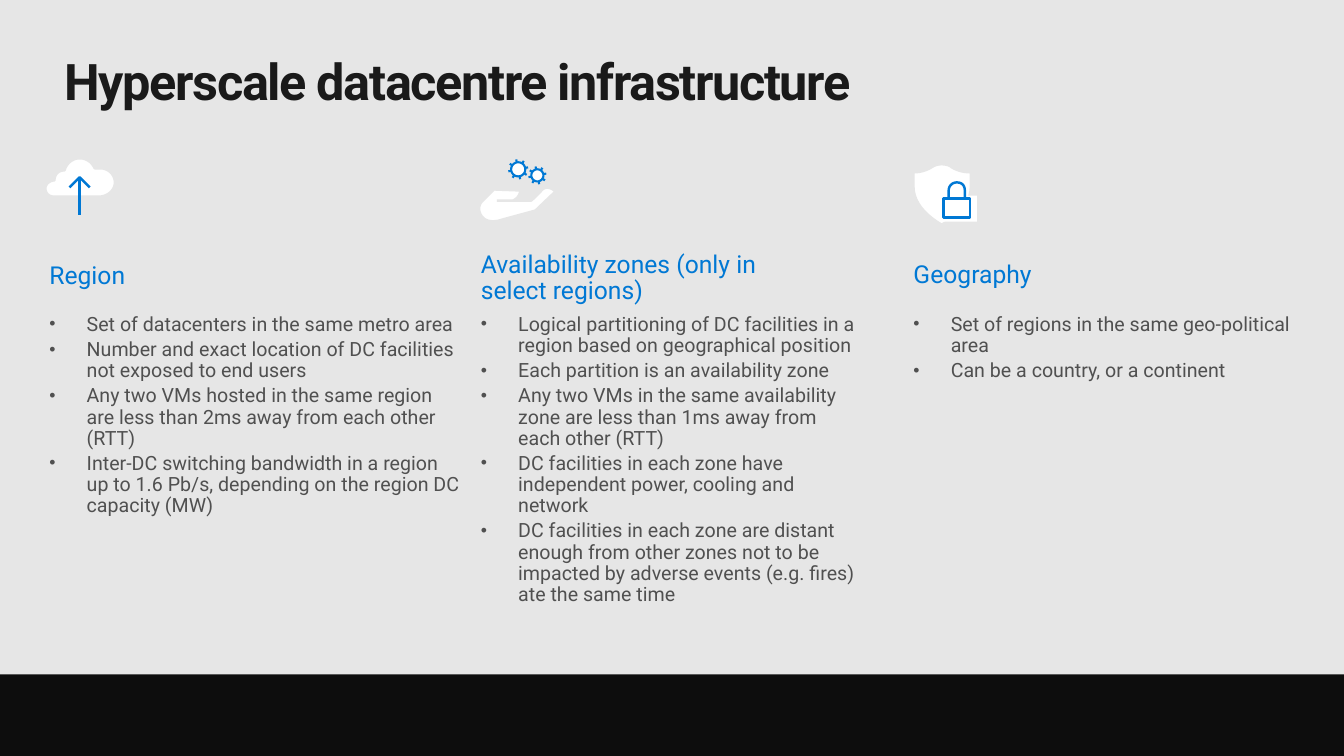
from dataclasses import dataclass
from math import cos, pi, sin

from lxml import etree
from pptx import Presentation
from pptx.dml.color import RGBColor
from pptx.enum.shapes import MSO_SHAPE
from pptx.enum.text import MSO_ANCHOR, MSO_AUTO_SIZE, PP_ALIGN
from pptx.oxml.ns import qn
from pptx.util import Inches, Pt

RECTANGLE = MSO_SHAPE.RECTANGLE
TOP, MIDDLE = MSO_ANCHOR.TOP, MSO_ANCHOR.MIDDLE
LEFT = PP_ALIGN.LEFT
NO_FIT = MSO_AUTO_SIZE.NONE


@dataclass(frozen=True)
class Theme:
    font: str = "Roboto"
    background: str = "E6E6E6"
    ink: str = "1A1A1A"
    accent: str = "0078D4"
    body: str = "505050"
    white: str = "FFFFFF"
    bar: str = "0D0D0D"
    title_size: float = 36
    heading_size: float = 17.6
    list_size: float = 14
    outline: float = 1.75
    gear_outline: float = 1.5


THEME = Theme()

COLUMNS = [
    ("Region", (0.33, 2.51, 4.32, 0.47), (0.33, 3.02, 4.4, 2.25), [
        "Set of datacenters in the same metro area",
        "Number and exact location of DC facilities not exposed to end users",
        "Any two VMs hosted in the same region are less than 2ms away from each other (RTT)",
        "Inter-DC switching bandwidth in a region up to 1.6 Pb/s, depending on the region DC capacity (MW)",
    ]),
    ("Availability zones (only in select regions)", (4.61, 2.4, 3.7, 0.73), (4.61, 3.02, 4.12, 3.98), [
        "Logical partitioning of DC facilities in a region based on geographical position",
        "Each partition is an availability zone",
        "Any two VMs in the same availability zone are less than 1ms away from each other (RTT)",
        "DC facilities in each zone have independent power, cooling and network",
        "DC facilities in each zone are distant enough from other zones not to be impacted "
        "by adverse events (e.g. fires) ate the same time",
    ]),
    ("Geography", (8.9, 2.5, 4.05, 0.47), (8.9, 3.02, 4.22, 0.88), [
        "Set of regions in the same geo-political area",
        "Can be a country, or a continent",
    ]),
]

CLOUD = [((0.79, 1.57), [
    (0.86, 1.57, 0.91, 1.61, 0.94, 1.67), (0.95, 1.67),
    (0.97, 1.67, 0.98, 1.67, 1, 1.67), (1.07, 1.67, 1.14, 1.73, 1.14, 1.81),
    (1.14, 1.88, 1.08, 1.94, 1, 1.95), (0.53, 1.95),
    (0.48, 1.95, 0.45, 1.91, 0.45, 1.87), (0.45, 1.83, 0.49, 1.79, 0.54, 1.79),
    (0.54, 1.73, 0.58, 1.69, 0.64, 1.69), (0.66, 1.62, 0.72, 1.57, 0.79, 1.57),
], True)]
UPLOAD_ARROW = [
    ((0.89, 1.86), [(0.79, 1.76), (0.69, 1.86)], False),
    ((0.79, 1.76), [(0.79, 2.13)], False),
]
HAND = [((4.93, 1.99), [
    (5.27, 1.99), (5.27, 1.99, 5.33, 1.94, 5.38, 1.88),
    (5.44, 1.83, 5.51, 1.9, 5.51, 1.9), (5.31, 2.09), (4.98, 2.18),
    (4.92, 2.2, 4.84, 2.21, 4.79, 2.16), (4.74, 2.11, 4.74, 2.03, 4.79, 1.99),
    (4.9, 1.88), (5.16, 1.89), (5.16, 1.96, 5.09, 1.99, 5.09, 1.99),
], False)]
SHIELD = [((9.63, 1.85), [
    (9.63, 2, 9.52, 2.13, 9.34, 2.23), (9.17, 2.13, 9.06, 2, 9.06, 1.85), (9.06, 1.71),
    (9.13, 1.71, 9.19, 1.69, 9.24, 1.66), (9.27, 1.64, 9.3, 1.63, 9.34, 1.63),
    (9.38, 1.63, 9.42, 1.64, 9.44, 1.66), (9.49, 1.69, 9.55, 1.71, 9.63, 1.71),
], True)]
PADLOCK = [
    ((9.62, 2.16), [(9.36, 2.16), (9.36, 1.97), (9.62, 1.97)], True),
    ((9.57, 1.97), [
        (9.57, 1.89), (9.57, 1.84, 9.54, 1.81, 9.49, 1.81),
        (9.45, 1.81, 9.41, 1.84, 9.41, 1.89), (9.41, 1.97),
    ], False),
]


def apply_format(target, values):
    for name, value in values.items():
        setattr(target, name, value)


def place(shape, box):
    apply_format(shape, dict(zip(("left", "top", "width", "height"), map(Inches, box))))


def format_frame(frame, anchor, side=0.16, edge=0.1):
    apply_format(frame, {
        "word_wrap": True, "auto_size": NO_FIT, "vertical_anchor": anchor,
        "margin_left": Inches(side), "margin_right": Inches(side),
        "margin_top": Inches(edge), "margin_bottom": Inches(edge),
    })


def add_text(paragraph, text, size, color, bold=False):
    run = paragraph.add_run()
    run.text = text
    apply_format(run.font, {"name": THEME.font, "size": Pt(size), "bold": bold})
    run.font.color.rgb = RGBColor.from_string(color)
    return run


def add_bullet(paragraph):
    properties = paragraph._p.get_or_add_pPr()
    properties.set("marL", str(Inches(0.37)))
    properties.set("indent", str(-Inches(0.37)))
    for tag, name, value in (("a:buSzPct", "val", "90000"),
                             ("a:buFont", "typeface", "Arial"),
                             ("a:buChar", "char", "•")):
        etree.SubElement(properties, qn(tag)).set(name, value)


def fill_title(title):
    place(title, (0.64, 0.5, 12.05, 0.61))
    format_frame(title.text_frame, TOP, 0, 0)
    paragraph = title.text_frame.paragraphs[0]
    paragraph.alignment = LEFT
    run = add_text(paragraph, "Hyperscale datacentre infrastructure",
                   THEME.title_size, THEME.ink, True)
    run._r.get_or_add_rPr().set("spc", "-100")


def add_heading(slide, text, box):
    frame = slide.shapes.add_textbox(*map(Inches, box)).text_frame
    format_frame(frame, MIDDLE)
    paragraph = frame.paragraphs[0]
    apply_format(paragraph, {"alignment": LEFT, "line_spacing": 0.9, "space_after": Pt(5.9)})
    add_text(paragraph, text, THEME.heading_size, THEME.accent)


def fill_list(placeholder, items, box):
    place(placeholder, box)
    frame = placeholder.text_frame
    format_frame(frame, TOP)
    for index, item in enumerate(items):
        paragraph = frame.add_paragraph() if index else frame.paragraphs[0]
        add_bullet(paragraph)
        apply_format(paragraph, {
            "level": 1, "alignment": LEFT, "line_spacing": 0.9,
            "space_before": Pt(2.8 if index else 0), "space_after": Pt(0),
        })
        add_text(paragraph, item, THEME.list_size, THEME.body)


def trace(start, segments, steps=10):
    points = [start]
    for segment in segments:
        if len(segment) == 2:
            points.append(segment)
            continue
        controls = (points[-1], segment[:2], segment[2:4], segment[4:])
        for step in range(1, steps + 1):
            t = step / steps
            weights = ((1 - t) ** 3, 3 * t * (1 - t) ** 2, 3 * t * t * (1 - t), t ** 3)
            points.append(tuple(sum(w * c[axis] for w, c in zip(weights, controls))
                                for axis in (0, 1)))
    return [(Inches(x), Inches(y)) for x, y in points]


def gear(x, y, radius, reach, teeth=8):
    def polar(distance, turn):
        angle = 2 * pi * turn - 0.2
        return x + distance * cos(angle), y + distance * sin(angle)

    rim = [polar(radius, step / 32) for step in range(32)]
    spokes = [(polar(radius, tooth / teeth), [polar(reach, tooth / teeth)], False)
              for tooth in range(teeth)]
    return [(rim[0], rim[1:], True)] + spokes


def paint(shape, fill, line=None, width=THEME.outline):
    shape.shadow.inherit = False
    if fill:
        shape.fill.solid()
        shape.fill.fore_color.rgb = RGBColor.from_string(fill)
    else:
        shape.fill.background()
    if line:
        shape.line.color.rgb = RGBColor.from_string(line)
        shape.line.width = Pt(width)
    else:
        shape.line.fill.background()


def add_outline(slide, contours, fill, line, width=THEME.outline):
    builder = None
    for start, segments, closed in contours:
        points = trace(start, segments)
        if builder is None:
            builder = slide.shapes.build_freeform(*points[0])
        else:
            builder.move_to(*points[0])
        builder.add_line_segments(points[1:], close=closed)
    paint(builder.convert_to_shape(), fill, line, width)


def add_rectangle(slide, box, fill):
    paint(slide.shapes.add_shape(RECTANGLE, *map(Inches, box)), fill)


def add_icons(slide):
    add_outline(slide, SHIELD, THEME.white, THEME.background)
    add_rectangle(slide, (9.36, 1.94, 0.33, 0.26), THEME.white)
    add_outline(slide, PADLOCK, THEME.white, THEME.accent)
    add_outline(slide, CLOUD, THEME.white, THEME.background)
    add_outline(slide, UPLOAD_ARROW, None, THEME.accent)
    gears = gear(5.33, 1.74, 0.06, 0.09) + gear(5.14, 1.68, 0.07, 0.1)
    add_outline(slide, gears, THEME.white, THEME.accent, THEME.gear_outline)
    add_outline(slide, HAND, THEME.white, THEME.background)


def main():
    presentation = Presentation()
    apply_format(presentation, {"slide_width": Inches(13.33), "slide_height": Inches(7.5)})
    slide = presentation.slides.add_slide(presentation.slide_layouts.get_by_name("Comparison"))
    slide.background.fill.solid()
    slide.background.fill.fore_color.rgb = RGBColor.from_string(THEME.background)
    title, *bodies = slide.placeholders
    fill_title(title)
    for body, (heading, heading_box, list_box, items) in zip(bodies, COLUMNS):
        add_heading(slide, heading, heading_box)
        fill_list(body, items, list_box)
    for unused in bodies[len(COLUMNS):]:
        unused.element.getparent().remove(unused.element)
    add_rectangle(slide, (0, 6.69, 13.33, 0.81), THEME.bar)
    add_icons(slide)
    presentation.save("out.pptx")


if __name__ == "__main__":
    main()
